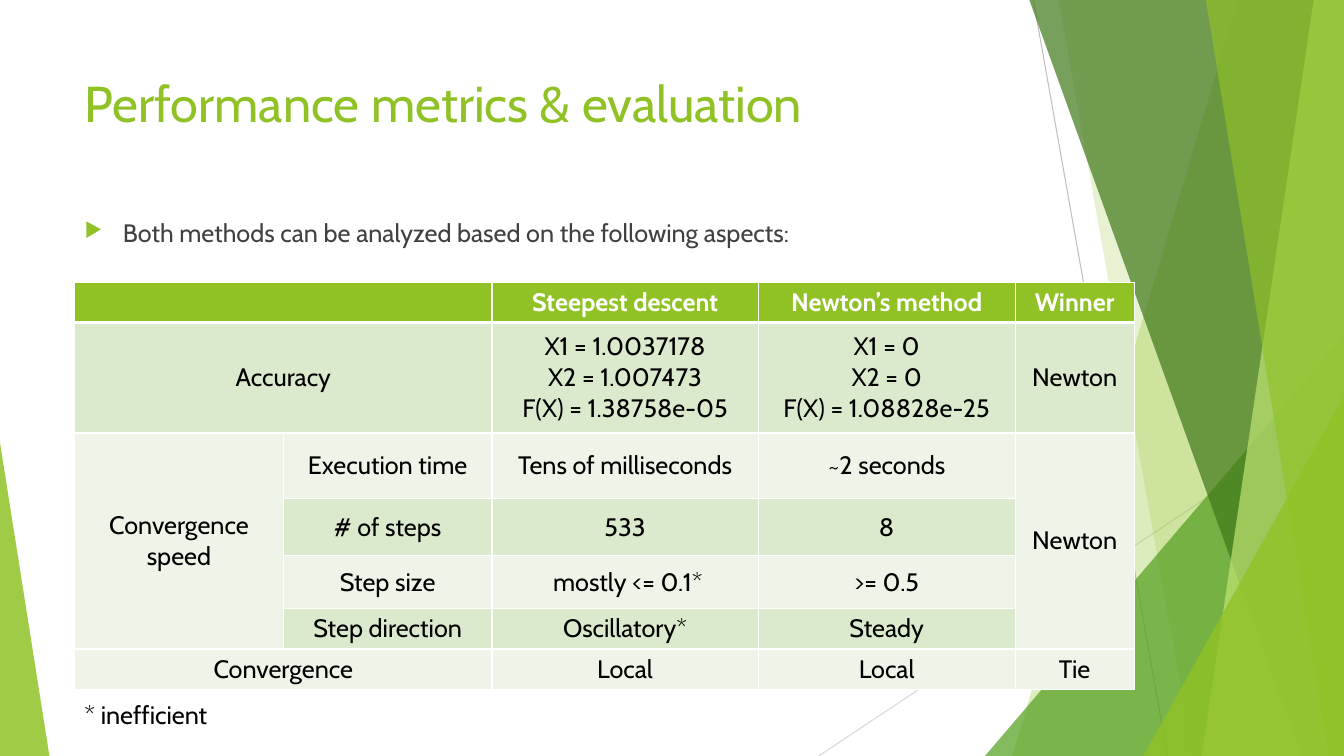
from lxml.etree import SubElement
from pptx import Presentation
from pptx.dml.color import RGBColor
from pptx.enum.shapes import MSO_CONNECTOR, MSO_SHAPE
from pptx.enum.text import MSO_ANCHOR, MSO_AUTO_SIZE, PP_ALIGN
from pptx.oxml.ns import qn
from pptx.util import Inches, Pt

# ---- Content ----
TITLE = "Performance metrics & evaluation"
BULLET = "Both methods can be analyzed based on the following aspects:"
FOOTNOTE = "* inefficient"
ROWS = [
    ["", "", "Steepest descent", "Newton’s method", "Winner"],
    ["Accuracy", "", "X1 = 1.0037178\nX2 = 1.007473\nF(X) = 1.38758e-05",
     "X1 = 0\nX2 = 0\nF(X) = 1.08828e-25", "Newton"],
    ["Convergence speed", "Execution time", "Tens of milliseconds", "~2 seconds", "Newton"],
    ["", "# of steps", "533", "8", ""],
    ["", "Step size", " mostly <= 0.1*", ">= 0.5", ""],
    ["", "Step direction", "Oscillatory*", "Steady", ""],
    ["Convergence", "", "Local", "Local", "Tie"],
]
MERGES = [((0, 0), (0, 1)), ((1, 0), (1, 1)), ((6, 0), (6, 1)),
          ((2, 0), (5, 0)), ((2, 4), (5, 4))]


class Theme:
    font = "Cabin"
    title_size, text_size = 36, 18
    green, leaf, forest, lime = "90C226", "54A021", "3F7819", "C0E474"
    band, pale = "DBE9CD", "EEF4E8"
    white, black, body = "FFFFFF", "000000", "404040"


# ---- Layout, in percent of slide width and height ----
SLIDE_W, SLIDE_H = Inches(13.33), Inches(7.5)
LEFT = 5.55
TITLE_BOX = (LEFT, 8.93, 70.52, 19.2)
BODY_BOX = (LEFT, 28.13, 70.52, 56.53)
NOTE_BOX = (LEFT, 91.87, 11.63, 5.33)
TABLE_TOP = 37.33
COLS = [15.53, 15.53, 19.8, 19.13, 8.85]
ROW_HEIGHTS = [5.33, 14.6, 8.67, 7.6, 6.93, 5.4, 5.33]
ROW_FILLS = [Theme.green, Theme.band, Theme.pale, Theme.band,
             Theme.pale, Theme.band, Theme.pale]
RAYS = [((76.89, 0), (86.87, 100), "BFBFBF"), ((100, 53.73), (60.92, 100), "D9D9D9")]
# Panels reach the right edge: (x at top, x at bottom, colour, opacity)
# Wedges are right triangles: (left, top, width, apex side, colour, opacity)
FACETS = [
    (92.12, 75.32, Theme.green, 30),
    (78.77, 88.75, Theme.green, 20),
    (73.29, 44.4, 26.71, 1, Theme.leaf, 72),
    (76.59, 96.85, Theme.forest, 70),
    (97.75, 89.42, Theme.lime, 70),
    (89.72, 98.87, Theme.green, 65),
    (85.07, 52.4, 14.93, 1, Theme.green, 80),
    (0, 58.53, 3.68, 0, Theme.green, 85),
]


def x(pct):
    return int(SLIDE_W * pct / 100)


def y(pct):
    return int(SLIDE_H * pct / 100)


def box(left, top, width, height):
    return x(left), y(top), x(width), y(height)


def rgb(color):
    return RGBColor.from_string(color)


def add_text(p, text, color, size=Theme.text_size, bold=False):
    r = p.add_run()
    r.text = text
    r.font.name, r.font.size, r.font.bold = Theme.font, Pt(size), bold
    r.font.color.rgb = rgb(color)


def paint(s, color, opacity):
    s.shadow.inherit = False
    s.line.fill.background()
    s.fill.solid()
    s.fill.fore_color.rgb = rgb(color)
    clr = s.fill._xPr.find(qn("a:solidFill"))[0]
    SubElement(clr, qn("a:alpha"), val=str(opacity * 1000))


def set_borders(cell, top, bottom):
    tcPr = cell._tc.get_or_add_tcPr()
    for side, width in (("L", 1), ("R", 1), ("T", top), ("B", bottom)):
        ln = SubElement(tcPr, qn("a:ln" + side), w=str(Pt(width)))
        fill = SubElement(ln, qn("a:solidFill"))
        SubElement(fill, qn("a:srgbClr"), val=Theme.white)


def add_background(shapes):
    for start, end, color in RAYS:
        s = shapes.add_connector(MSO_CONNECTOR.STRAIGHT, x(start[0]), y(start[1]),
                                 x(end[0]), y(end[1]))
        s.line.color.rgb, s.line.width = rgb(color), Pt(0.75)
        SubElement(s._element.spPr, qn("a:effectLst"))
    for *geometry, color, opacity in FACETS:
        if len(geometry) == 2:
            top_x, bottom_x = geometry
            builder = shapes.build_freeform(x(top_x), 0)
            builder.add_line_segments([(x(100), 0), (x(100), y(100)), (x(bottom_x), y(100))])
            s = builder.convert_to_shape()
        else:
            left, top, width, apex = geometry
            s = shapes.add_shape(MSO_SHAPE.ISOSCELES_TRIANGLE,
                                 *box(left, top, width, 100 - top))
            s.adjustments[0] = apex
        paint(s, color, opacity)


def add_title(s):
    s.left, s.top, s.width, s.height = box(*TITLE_BOX)
    tf = s.text_frame
    tf.vertical_anchor, tf.auto_size = MSO_ANCHOR.TOP, MSO_AUTO_SIZE.NONE
    p = tf.paragraphs[0]
    p.alignment = PP_ALIGN.LEFT
    add_text(p, TITLE, Theme.green, Theme.title_size)


def add_bullet(shapes):
    tf = shapes.add_textbox(*box(*BODY_BOX)).text_frame
    tf.word_wrap = True
    p = tf.paragraphs[0]
    p.space_before = Pt(10)
    pPr = p._p.get_or_add_pPr()
    pPr.set("marL", str(Inches(0.38)))
    pPr.set("indent", str(-Inches(0.38)))
    SubElement(SubElement(pPr, qn("a:buClr")), qn("a:srgbClr"), val=Theme.green)
    SubElement(pPr, qn("a:buSzPct"), val="80000")
    SubElement(pPr, qn("a:buChar"), char="▶")
    add_text(p, BULLET, Theme.body)


def add_metrics(shapes):
    table = shapes.add_table(len(ROWS), len(COLS), *box(
        LEFT, TABLE_TOP, sum(COLS), sum(ROW_HEIGHTS))).table
    for col, width in zip(table.columns, COLS):
        col.width = x(width)
    for i, (row, height) in enumerate(zip(table.rows, ROW_HEIGHTS)):
        row.height = y(height)
        header = i == 0
        for cell, text in zip(row.cells, ROWS[i]):
            set_borders(cell, 3 if i == 1 else 1, 3 if header else 1)
            cell.fill.solid()
            cell.fill.fore_color.rgb = rgb(ROW_FILLS[i])
            cell.vertical_anchor = MSO_ANCHOR.MIDDLE
            tf = cell.text_frame
            for n, line in enumerate(text.split("\n")):
                p = tf.add_paragraph() if n else tf.paragraphs[0]
                p.alignment = PP_ALIGN.CENTER
                if line:
                    add_text(p, line, Theme.white if header else Theme.black, bold=header)
    for first, last in MERGES:
        table.cell(*first).merge(table.cell(*last))


def add_footnote(shapes):
    tf = shapes.add_textbox(*box(*NOTE_BOX)).text_frame
    tf.word_wrap, tf.auto_size = False, MSO_AUTO_SIZE.SHAPE_TO_FIT_TEXT
    add_text(tf.paragraphs[0], FOOTNOTE, Theme.black)


def main():
    prs = Presentation()
    prs.slide_width, prs.slide_height = SLIDE_W, SLIDE_H
    slide = prs.slides.add_slide(prs.slide_layouts[5])
    add_background(slide.shapes)
    add_title(slide.shapes.title)
    add_bullet(slide.shapes)
    add_metrics(slide.shapes)
    add_footnote(slide.shapes)
    prs.save("out.pptx")


if __name__ == "__main__":
    main()
